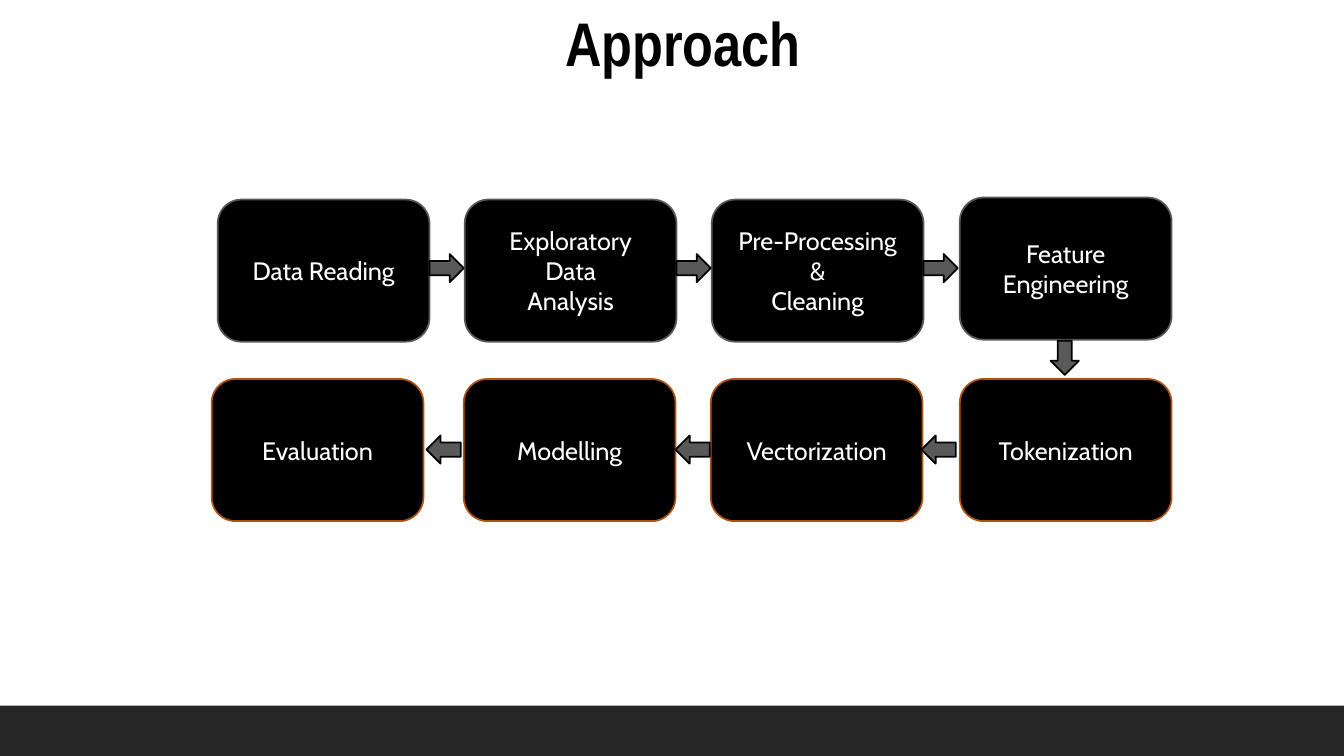
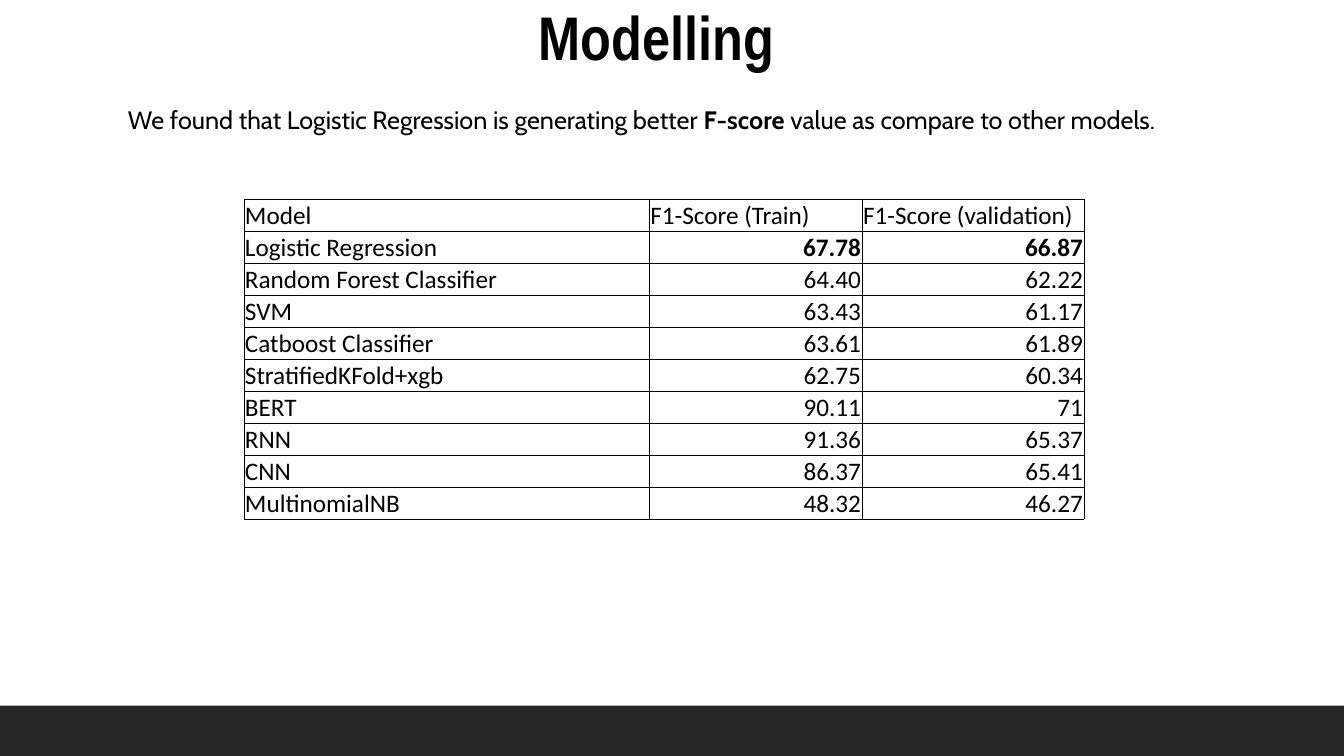
import lxml.etree
import pptx
import pptx.dml.color
import pptx.enum.shapes
import pptx.enum.text
import pptx.oxml.ns
import pptx.util

SHAPE = pptx.enum.shapes.MSO_SHAPE
ALIGN = pptx.enum.text.PP_ALIGN
ANCHOR = pptx.enum.text.MSO_ANCHOR

# Shared style
PX = 9144  # 100 px to the inch
SLIDE_W, SLIDE_H = 1333, 750
BAND_H = 50
BLACK, WHITE = "000000", "FFFFFF"
GREY, ORANGE, BAND = "595959", "AF5310", "262626"
TITLE_FONT, BODY_FONT, TABLE_FONT = "Arial Narrow", "Cabin", "Calibri"
TITLE_SIZE, BODY_SIZE = 44, 18
OUTLINE = 1.25

# Approach: (paragraphs, left, top) of each step, by outline colour
STEP_W, STEP_H = 210, 141
STEPS = {
    GREY: [
        (["Data Reading"], 216, 198),
        (["Exploratory Data", "Analysis"], 461, 198),
        (["Pre-Processing &", "Cleaning"], 706, 198),
        (["Feature Engineering"], 952, 196),
    ],
    ORANGE: [
        (["Tokenization"], 952, 376),
        (["Vectorization"], 705, 376),
        (["Modelling"], 460, 376),
        (["Evaluation"], 210, 376),
    ],
}
# Arrows: (left, top, rotation)
ARROW_W, ARROW_H = 34, 28
ARROWS = [
    (426, 252, 0), (671, 252, 0), (916, 252, 0),
    (1039, 341, 90),
    (914, 432, 180), (670, 432, 180), (423, 432, 180),
]

# Modelling: finding and scores
FINDING = [
    ("We found that Logistic Regression is generating better ", False),
    ("F-score", True),
    (" value as compare to other models.", False),
]
SCORES = [
    ("Model", "F1-Score (Train)", "F1-Score (validation)"),
    ("Logistic Regression", "67.78", "66.87"),
    ("Random Forest Classifier", "64.40", "62.22"),
    ("SVM", "63.43", "61.17"),
    ("Catboost Classifier", "63.61", "61.89"),
    ("StratifiedKFold+xgb", "62.75", "60.34"),
    ("BERT", "90.11", "71"),
    ("RNN", "91.36", "65.37"),
    ("CNN", "86.37", "65.41"),
    ("MultinomialNB", "48.32", "46.27"),
]
BEST_ROW = 1
COLUMN_WIDTHS = [402, 211, 220]
TABLE_LEFT, TABLE_TOP, TABLE_H = 242, 198, 317


def px(*lengths):
    return [pptx.util.Emu(length * PX) for length in lengths]


def color(value):
    return pptx.dml.color.RGBColor.from_string(value)


def add_span(para, text, font, size, ink, bold=False):
    span = para.add_run()
    span.text = text
    span.font.name = font
    span.font.size = pptx.util.Pt(size)
    span.font.bold = bold
    span.font.color.rgb = color(ink)


def add_shape(page, kind, area, fill, line=None):
    shape = page.shapes.add_shape(kind, *px(*area))
    shape.shadow.inherit = False
    shape.fill.solid()
    shape.fill.fore_color.rgb = color(fill)
    if line:
        shape.line.color.rgb = color(line)
        shape.line.width = pptx.util.Pt(OUTLINE)
    else:
        shape.line.fill.background()
    return shape


def add_text(page, area, spans, font, size, align):
    box = page.shapes.add_textbox(*px(*area))
    box.text_frame.word_wrap = True
    para = box.text_frame.paragraphs[0]
    para.alignment = align
    for text, bold in spans:
        add_span(para, text, font, size, BLACK, bold)


def add_page(deck, title, title_area):
    page = deck.slides.add_slide(deck.slide_layouts[6])
    band = (0, SLIDE_H - BAND_H, SLIDE_W, BAND_H)
    add_shape(page, SHAPE.RECTANGLE, band, BAND)
    add_text(page, title_area, [(title, True)], TITLE_FONT, TITLE_SIZE, ALIGN.CENTER)
    return page


def add_step(page, lines, left, top, outline):
    area = (left, top, STEP_W, STEP_H)
    step = add_shape(page, SHAPE.ROUNDED_RECTANGLE, area, BLACK, outline)
    frame = step.text_frame
    frame.word_wrap = True
    frame.vertical_anchor = ANCHOR.MIDDLE
    for index, line in enumerate(lines):
        para = frame.add_paragraph() if index else frame.paragraphs[0]
        para.alignment = ALIGN.CENTER
        add_span(para, line, BODY_FONT, BODY_SIZE, WHITE)


def add_borders(cell):
    qn = pptx.oxml.ns.qn
    properties = cell._tc.get_or_add_tcPr()
    for index, side in enumerate(("lnL", "lnR", "lnT", "lnB")):
        border = lxml.etree.Element(qn("a:" + side), w=str(pptx.util.Pt(0.5)))
        fill = lxml.etree.SubElement(border, qn("a:solidFill"))
        lxml.etree.SubElement(fill, qn("a:srgbClr"), val=BLACK)
        properties.insert(index, border)


def add_scores(page):
    area = (TABLE_LEFT, TABLE_TOP, sum(COLUMN_WIDTHS), TABLE_H)
    frame = page.shapes.add_table(len(SCORES), len(COLUMN_WIDTHS), *px(*area))
    table = frame.table
    table.first_row = table.horz_banding = False
    for column, width in zip(table.columns, px(*COLUMN_WIDTHS)):
        column.width = width
    for r, values in enumerate(SCORES):
        for c, value in enumerate(values):
            cell = table.cell(r, c)
            cell.fill.background()
            add_borders(cell)
            cell.vertical_anchor = ANCHOR.BOTTOM
            cell.margin_left, cell.margin_top, cell.margin_right, cell.margin_bottom = px(1, 1, 1, 0)
            is_score = r > 0 and c > 0
            para = cell.text_frame.paragraphs[0]
            para.alignment = ALIGN.RIGHT if is_score else ALIGN.LEFT
            add_span(para, value, TABLE_FONT, BODY_SIZE, BLACK, is_score and r == BEST_ROW)


def build_approach(deck):
    page = add_page(deck, "Approach ", (335, 0, 699, 84))
    for outline, steps in STEPS.items():
        for lines, left, top in steps:
            add_step(page, lines, left, top, outline)
    for left, top, rotation in ARROWS:
        area = (left, top, ARROW_W, ARROW_H)
        arrow = add_shape(page, SHAPE.RIGHT_ARROW, area, GREY, BLACK)
        arrow.rotation = rotation


def build_modelling(deck):
    page = add_page(deck, "Modelling ", (97, -6, 1123, 84))
    add_scores(page)
    add_text(page, (117, 99, 1191, 40), FINDING, BODY_FONT, BODY_SIZE, ALIGN.LEFT)


def main():
    deck = pptx.Presentation()
    deck.slide_width, deck.slide_height = px(SLIDE_W, SLIDE_H)
    build_approach(deck)
    build_modelling(deck)
    deck.save("out.pptx")


if __name__ == "__main__":
    main()
